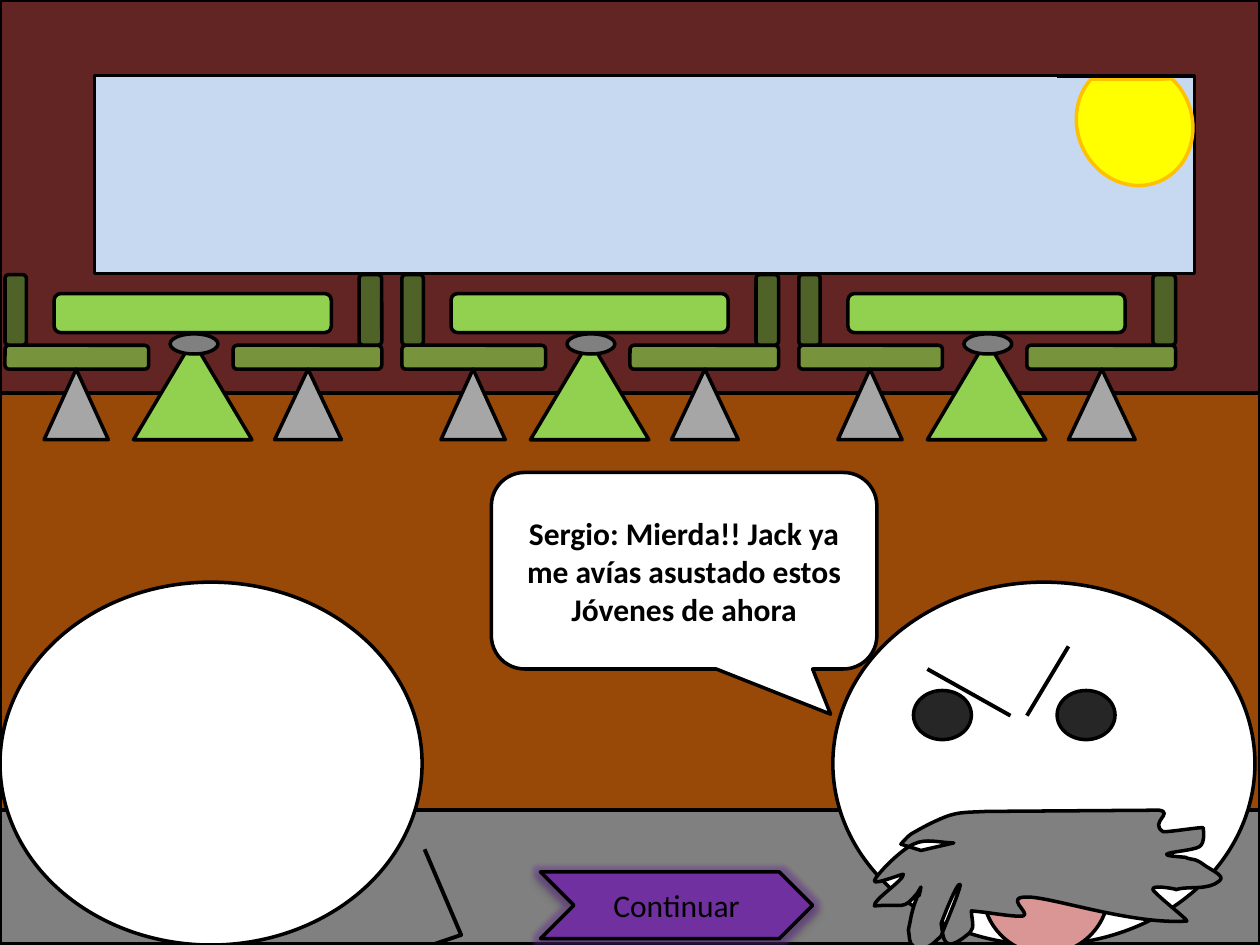
from lxml.etree import SubElement
from pptx import Presentation
from pptx.dml.color import RGBColor
from pptx.enum.shapes import MSO_CONNECTOR, MSO_SHAPE
from pptx.enum.text import MSO_ANCHOR, PP_ALIGN
from pptx.oxml.ns import qn
from pptx.util import Pt

PX = 9144  # 100 px to the inch
SLIDE_WIDTH, SLIDE_HEIGHT = 1000, 750

BLACK = RGBColor(0x00, 0x00, 0x00)
WHITE = RGBColor(0xFF, 0xFF, 0xFF)
WALL = RGBColor(0x63, 0x25, 0x23)
FLOOR = RGBColor(0x98, 0x48, 0x07)
SKY = RGBColor(0xC6, 0xD9, 0xF1)
SUN = RGBColor(0xFF, 0xFF, 0x00)
SUN_EDGE = RGBColor(0xFF, 0xC0, 0x00)
GREY = RGBColor(0x80, 0x80, 0x80)
LEG = RGBColor(0xA6, 0xA6, 0xA6)
TABLE = RGBColor(0x92, 0xD0, 0x50)
SEAT = RGBColor(0x77, 0x93, 0x3C)
BACKREST = RGBColor(0x4F, 0x62, 0x28)
PUPIL = RGBColor(0x26, 0x26, 0x26)
TONGUE = RGBColor(0xD9, 0x96, 0x94)
PURPLE = RGBColor(0x70, 0x30, 0xA0)

# Offsets from the moustache box: two numbers make a line, six a curve.
MOUSTACHE = [
    (63, 26), (52, 26, 41, 22, 31, 27), (20, 32, 1, 52, 0, 56),
    (-1, 60, 23, 50, 23, 51), (23, 56, -1, 71, 0, 76), (25, 74, 22, 80, 34, 66),
    (35, 64, 36, 63, 37, 61), (33, 79, 39, 55, 32, 74), (29, 83, 29, 86, 27, 95),
    (28, 99, 27, 106, 31, 108), (42, 113, 47, 105, 53, 100),
    (54, 96, 69, 62, 68, 59), (66, 56, 54, 87, 53, 90), (55, 100, 53, 117, 76, 97),
    (80, 93, 77, 86, 77, 80), (91, 81, 110, 85, 118, 84),
    (125, 82, 101, 68, 123, 69), (144, 70, 206, 91, 248, 88),
    (249, 87, 223, 67, 221, 63), (219, 58, 246, 64, 239, 63),
    (250, 60, 265, 64, 274, 56), (279, 52, 266, 47, 261, 43),
    (260, 42, 258, 41, 256, 40), (254, 39, 251, 39, 248, 38),
    (250, 37, 231, 37, 232, 35), (234, 33, 253, 32, 258, 29),
    (263, 25, 261, 17, 261, 14), (261, 13, 230, 18, 229, 17),
    (218, 10, 238, 2, 226, 0), (89, 1), (70, 2, 65, 1, 50, 8),
    (43, 11, 36, 15, 29, 19), (26, 21, 21, 27, 21, 27), (37, 32), (63, 26),
]


def apply_formats(target, formats):
    for name, value in formats.items():
        setattr(target, name, value)


def style(shape, fill, edge=BLACK, width=2):
    shape.shadow.inherit = False
    if fill is None:
        shape.fill.background()
    else:
        shape.fill.solid()
        shape.fill.fore_color.rgb = fill
    shape.line.color.rgb = edge
    shape.line.width = Pt(width)


def add_part(shapes, kind, box, fill, edge=BLACK, rotation=0, adjustments=()):
    shape = shapes.add_shape(kind, *(length * PX for length in box))
    style(shape, fill, edge)
    shape.rotation = rotation
    for index, value in enumerate(adjustments):
        shape.adjustments[index] = value
    return shape


def add_stroke(shapes, start, end):
    ends = [length * PX for length in (*start, *end)]
    connector = shapes.add_connector(MSO_CONNECTOR.STRAIGHT, *ends)
    connector.line.color.rgb = BLACK
    connector.line.width = Pt(2.25)
    SubElement(connector._element.spPr, qn("a:effectLst"))


def add_outline(shapes, left, top, segments, fill, width=2, closed=True):
    """Draw lines, then bend those that have control points into cubic curves."""
    ends = [segment[-2:] for segment in segments]
    builder = shapes.build_freeform(*ends[0], scale=PX)
    builder.add_line_segments(ends[1:], close=closed)
    shape = builder.convert_to_shape(left * PX, top * PX)
    style(shape, fill, width=width)

    min_x, min_y = (min(values) for values in zip(*ends))
    lines = list(shape._element.iter(qn("a:lnTo")))
    for line, segment in zip(lines, segments[1:]):
        if len(segment) == 6:
            curve = line.makeelement(qn("a:cubicBezTo"))
            for x, y in zip(segment[::2], segment[1::2]):
                SubElement(curve, qn("a:pt"), x=str(x - min_x), y=str(y - min_y))
            line.getparent().replace(line, curve)


def add_label(shape, text, bold=False):
    frame = shape.text_frame
    apply_formats(frame, {"word_wrap": True, "vertical_anchor": MSO_ANCHOR.MIDDLE})
    paragraph = frame.paragraphs[0]
    paragraph.alignment = PP_ALIGN.CENTER
    run = paragraph.add_run()
    run.text = text
    apply_formats(run.font, {"name": "Calibri", "size": Pt(18), "bold": bold})
    run.font.color.rgb = BLACK


def add_effect(effects, tag, color, alpha, **attributes):
    effect = SubElement(effects, qn(tag), attributes)
    color_element = SubElement(effect, qn("a:srgbClr"), val=str(color))
    SubElement(color_element, qn("a:alpha"), val=str(alpha * 1000))


def add_room(shapes, width, height):
    add_part(shapes, MSO_SHAPE.RECTANGLE, (0, 0, width, 312), WALL)
    add_part(shapes, MSO_SHAPE.RECTANGLE, (0, 312, width, height - 312), FLOOR)


def add_window(shapes, left, top, width, height):
    add_part(shapes, MSO_SHAPE.RECTANGLE, (left, top, width, height), SKY)
    add_part(shapes, MSO_SHAPE.CHORD, (left + 780, top - 12, 91, 100), SUN, SUN_EDGE,
             335.8, (200.63, 149.78))


def add_foreground_person(shapes, left, top):
    add_outline(shapes, left, top,
                [(165, 280), (158, 351), (366, 280), (337, 212)], None, 2.25, False)
    add_part(shapes, MSO_SHAPE.OVAL, (left, top, 335, 288), WHITE)


def add_table_with_seats(slide_shapes, left, top):
    shapes = slide_shapes.add_group_shape().shapes
    rounded, triangle = MSO_SHAPE.ROUNDED_RECTANGLE, MSO_SHAPE.ISOSCELES_TRIANGLE
    parts = [
        (triangle, (102, 52, 94, 79), TABLE),
        (rounded, (39, 15, 220, 31), TABLE),
        (MSO_SHAPE.OVAL, (131, 47, 38, 16), GREY),
        (rounded, (0, 56, 114, 19), SEAT),
        (triangle, (31, 75, 51, 56), LEG),
        (rounded, (0, 0, 17, 56), BACKREST),
        (rounded, (181, 56, 118, 19), SEAT),
        (triangle, (214, 75, 53, 56), LEG),
        (rounded, (281, 0, 18, 56), BACKREST),
    ]
    for kind, (x, y, width, height), fill in parts:
        add_part(shapes, kind, (left + x, top + y, width, height), fill)


def add_speech(shapes, box, text):
    bubble = add_part(shapes, MSO_SHAPE.ROUNDED_RECTANGULAR_CALLOUT, box, WHITE,
                      adjustments=(0.38, 0.73, 0.17))
    add_label(bubble, text, bold=True)


def add_angry_face(slide_shapes, left, top):
    shapes = slide_shapes.add_group_shape().shapes
    add_part(shapes, MSO_SHAPE.OVAL, (left, top, 335, 288), WHITE)
    for x in (64, 178):
        add_part(shapes, MSO_SHAPE.OVAL, (left + x, top + 86, 46, 39), PUPIL)
    for start, end in (((75, 69), (141, 106)), ((187, 51), (154, 106))):
        add_stroke(shapes, (left + start[0], top + start[1]),
                   (left + end[0], top + end[1]))
    add_part(shapes, MSO_SHAPE.CHORD, (left + 119, top + 195, 100, 100), TONGUE,
             rotation=289.4)
    add_outline(shapes, left + 33, top + 181, MOUSTACHE, GREY)


def add_continue_button(shapes, box, text):
    button = add_part(shapes, MSO_SHAPE.CHEVRON, box, PURPLE)
    effects = button._element.spPr.find(qn("a:effectLst"))
    add_effect(effects, "a:glow", PURPLE, 40, rad=str(Pt(5)))
    add_effect(effects, "a:outerShdw", BLACK, 32, blurRad=str(Pt(3.5)),
               dist=str(Pt(2.2)), dir="5400000", rotWithShape="0")
    add_label(button, text)


def main():
    presentation = Presentation()
    presentation.slide_width = SLIDE_WIDTH * PX
    presentation.slide_height = SLIDE_HEIGHT * PX
    shapes = presentation.slides.add_slide(presentation.slide_layouts[6]).shapes

    add_room(shapes, SLIDE_WIDTH, SLIDE_HEIGHT)
    add_window(shapes, 75, 60, 873, 157)
    add_part(shapes, MSO_SHAPE.RECTANGLE, (0, 643, SLIDE_WIDTH, 106), GREY)
    add_foreground_person(shapes, 0, 462)
    for index in range(3):
        add_table_with_seats(shapes, 4 + 315 * index, 218)
    add_stroke(shapes, (839, 60), (948, 60))
    add_speech(shapes, (390, 375, 306, 156),
               "Sergio: Mierda!! Jack ya me avías asustado estos Jóvenes de ahora")
    add_angry_face(shapes, 661, 462)
    add_continue_button(shapes, (429, 692, 216, 53), "Continuar")
    presentation.save("out.pptx")


if __name__ == "__main__":
    main()
